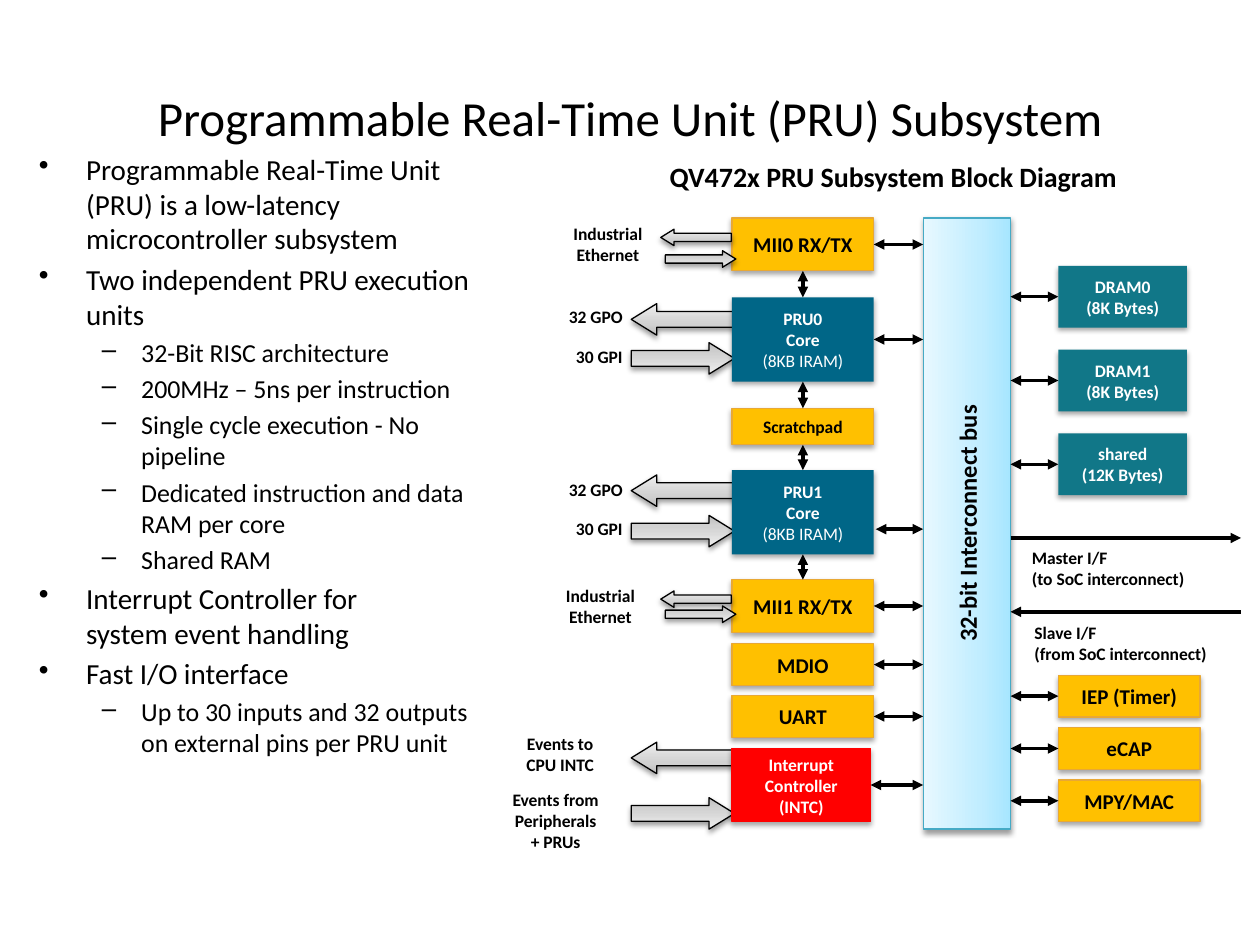
from dataclasses import dataclass
from typing import Optional

from lxml.etree import SubElement
from pptx import Presentation
from pptx.dml.color import RGBColor
from pptx.enum.shapes import MSO_CONNECTOR as Connector, MSO_SHAPE as Shape
from pptx.enum.text import MSO_ANCHOR as Anchor, PP_ALIGN as Align
from pptx.oxml.ns import qn
from pptx.util import Pt

FONT = "Calibri"
BLACK = RGBColor(0x00, 0x00, 0x00)
WHITE = RGBColor(0xFF, 0xFF, 0xFF)
RED = RGBColor(0xFF, 0x00, 0x00)
AMBER = RGBColor(0xFF, 0xC0, 0x00)
AMBER_EDGE = RGBColor(0xE8, 0xA8, 0x35)
NAVY = RGBColor(0x00, 0x66, 0x87)
TEAL = RGBColor(0x11, 0x77, 0x88)
BUS_EDGE = RGBColor(0x46, 0xAA, 0xC5)
GREY_FADE = ((0, "BDBDBD"), (35, "D1D1D1"), (100, "EEEEEE"))
BLUE_FADE = ((0, "A7E6FF"), (35, "C1EDFF"), (100, "E7F8FF"))

CORE_LEFT, CORE_WIDTH = 418.3, 81
RIGHT_LEFT = 604.8
BUS_LEFT, BUS_RIGHT = 527.5, 577.5
LABEL_LEFT, LABEL_WIDTH = 247, 108.7
LEFT, RIGHT = 1, 3  # connection sites
TOP, BOTTOM = 0, 2


@dataclass
class Block:
    text: str
    left: float
    top: float
    width: float
    height: float
    fill: RGBColor
    edge: Optional[RGBColor] = None
    color: RGBColor = WHITE
    size: float = 10
    note: str = ""
    bus_side: Optional[int] = None


@dataclass
class Label:
    text: str
    left: float
    top: float
    width: float
    height: float
    align: Align = Align.CENTER
    size: float = 10


@dataclass
class BlockArrow:
    left: float
    top: float
    width: float
    height: float
    rotation: int = 0


def add_text(paragraph, text: str, size: float, color=BLACK, bold=False) -> None:
    for number, line in enumerate(text.split("\n")):
        if number:
            paragraph.add_line_break()
        run = paragraph.add_run()
        run.text = line
        run.font.name, run.font.size, run.font.bold = FONT, Pt(size), bold
        run.font.color.rgb = color


def add_box(shapes, left: float, top: float, width: float, height: float, inset=True):
    frame = shapes.add_textbox(Pt(left), Pt(top), Pt(width), Pt(height)).text_frame
    frame.word_wrap = True
    if not inset:
        frame.margin_left = frame.margin_right = frame.margin_top = frame.margin_bottom = 0
    return frame


def add_label(shapes, label: Label) -> None:
    frame = add_box(shapes, label.left, label.top, label.width, label.height, inset=False)
    paragraph = frame.paragraphs[0]
    paragraph.alignment = label.align
    add_text(paragraph, label.text, label.size, bold=True)


def add_shadowed(shapes, kind, left: float, top: float, width: float, height: float, alpha=35):
    shape = shapes.add_shape(kind, Pt(left), Pt(top), Pt(width), Pt(height))
    shape.shadow.inherit = False
    effects = shape.element.spPr.find(qn("a:effectLst"))
    shadow = SubElement(effects, qn("a:outerShdw"), blurRad=str(Pt(3.1)),
                        dist=str(Pt(1.7)), dir="5400000", rotWithShape="0")
    color = SubElement(shadow, qn("a:srgbClr"), val="000000")
    SubElement(color, qn("a:alpha"), val=str(alpha * 1000))
    return shape


def set_edge(shape, color: Optional[RGBColor]) -> None:
    if color is None:
        shape.line.fill.background()
    else:
        shape.line.color.rgb = color
        shape.line.width = Pt(0.75)


def set_gradient(shape, stops) -> None:
    shape.fill.gradient()
    shape.fill.gradient_angle = 90
    stop_list = shape.element.spPr.find(qn("a:gradFill")).find(qn("a:gsLst"))
    for old in list(stop_list):
        stop_list.remove(old)
    for position, color in stops:
        stop = SubElement(stop_list, qn("a:gs"), pos=str(position * 1000))
        SubElement(stop, qn("a:srgbClr"), val=color)


def fill_text(shape, text: str, size: float, color: RGBColor, note: str = "") -> None:
    frame = shape.text_frame
    frame.word_wrap = True
    frame.vertical_anchor = Anchor.MIDDLE
    frame.paragraphs[0].alignment = Align.CENTER
    add_text(frame.paragraphs[0], text, size, color, bold=True)
    if note:
        paragraph = frame.add_paragraph()
        paragraph.alignment = Align.CENTER
        add_text(paragraph, note, size, color)


def add_block(shapes, block: Block):
    shape = add_shadowed(shapes, Shape.RECTANGLE, block.left, block.top, block.width, block.height)
    shape.fill.solid()
    shape.fill.fore_color.rgb = block.fill
    set_edge(shape, block.edge)
    fill_text(shape, block.text, block.size, block.color, block.note)
    return shape


def add_block_arrow(shapes, arrow: BlockArrow) -> None:
    shape = add_shadowed(shapes, Shape.LEFT_ARROW, arrow.left, arrow.top,
                         arrow.width, arrow.height, alpha=38)
    shape.adjustments[0], shape.adjustments[1] = 0.5, 0.81
    shape.rotation = arrow.rotation
    set_gradient(shape, GREY_FADE)
    set_edge(shape, BLACK)


def add_arrow(shapes, x1: float, y1: float, x2: float, y2: float, ends=("headEnd", "tailEnd")):
    connector = shapes.add_connector(Connector.STRAIGHT, Pt(x1), Pt(y1), Pt(x2), Pt(y2))
    connector.line.color.rgb = BLACK
    connector.line.width = Pt(2)
    properties = connector.element.spPr
    for end in ends:
        SubElement(properties.find(qn("a:ln")), qn(f"a:{end}"), type="triangle")
    SubElement(properties, qn("a:effectLst"))
    return connector


def add_bullets(frame, items) -> None:
    for number, (level, text) in enumerate(items):
        paragraph = frame.add_paragraph() if number else frame.paragraphs[0]
        size, margin, indent, mark = ((16.6, 27, -27, "•"), (14.8, 58.5, -22.5, "–"))[level]
        paragraph.level = level
        if number:
            paragraph.space_before = Pt(size * 0.2)
        properties = paragraph._p.get_or_add_pPr()
        properties.set("marL", str(Pt(margin)))
        properties.set("indent", str(Pt(indent)))
        SubElement(properties, qn("a:buChar"), char=mark)
        add_text(paragraph, text, size)


def amber(text: str, left: float, top: float, height: float, side: int) -> Block:
    return Block(text, left, top, CORE_WIDTH, height, AMBER, AMBER_EDGE, BLACK, 12, bus_side=side)


BULLETS = [
    (0, "Programmable Real-Time Unit (PRU) is a low-latency microcontroller subsystem"),
    (0, "Two independent PRU execution units"),
    (1, "32-Bit RISC architecture"),
    (1, "200MHz – 5ns per instruction"),
    (1, "Single cycle execution - No pipeline"),
    (1, "Dedicated instruction and data\nRAM per core"),
    (1, "Shared RAM"),
    (0, "Interrupt Controller for\nsystem event handling"),
    (0, "Fast I/O interface"),
    (1, "Up to 30 inputs and 32 outputs\non external pins per PRU unit"),
]
STACK = [  # joined to one another from top to bottom
    amber("MII0 RX/TX", CORE_LEFT, 124.6, 30.2, RIGHT),
    Block("PRU0\nCore", CORE_LEFT, 169.9, CORE_WIDTH, 48.2, NAVY, note="(8KB IRAM)", bus_side=RIGHT),
    Block("Scratchpad", CORE_LEFT, 233.3, CORE_WIDTH, 20.9, AMBER, AMBER_EDGE, BLACK),
    Block("PRU1\nCore", CORE_LEFT, 268.6, CORE_WIDTH, 48.2, NAVY, note="(8KB IRAM)"),
    amber("MII1 RX/TX", CORE_LEFT, 331.2, 30.2, RIGHT),
]
PERIPHERALS = [
    amber("MDIO", CORE_LEFT, 367.9, 23.8, RIGHT),
    amber("UART", CORE_LEFT, 397.5, 23.8, RIGHT),
    Block("Interrupt Controller (INTC)", CORE_LEFT, 427.7, 79.2, 41.8, RED, RED, bus_side=RIGHT),
    *(Block(f"{name}\n({size} Bytes)", RIGHT_LEFT, 151.9 + 47.9 * row, 73.4, 35.3, TEAL, bus_side=LEFT)
      for row, (name, size) in enumerate((("DRAM0", "8K"), ("DRAM1", "8K"), ("shared", "12K")))),
    *(amber(name, RIGHT_LEFT, 385.9 + 29.9 * row, 23.8, LEFT)
      for row, name in enumerate(("IEP (Timer)", "eCAP", "MPY/MAC"))),
]
LABELS = [
    Label("QV472x PRU Subsystem Block Diagram", 329.8, 91.4, 361.4, 19.4, size=16),
    *(Label(text, LABEL_LEFT, top, LABEL_WIDTH, 12.2, Align.RIGHT)
      for text, top in (("32 GPO", 175), ("30 GPI", 198), ("32 GPO", 273.6), ("30 GPI", 296))),
    Label("Industrial Ethernet", 311, 127.4, 72.7, 24.5),
    Label("Industrial Ethernet", 306.7, 334.1, 72.7, 24.5),
    Label("Events to\nCPU INTC", 283.7, 419, 72.7, 24.5),
    Label("Events from Peripherals\n+ PRUs", 274.3, 450.7, 86.4, 36),
    Label("Master I/F\n(to SoC interconnect)", 589.7, 312.5, 105.8, 24.5, Align.LEFT),
    Label("Slave I/F\n(from SoC interconnect)", 591.1, 355.7, 118, 24.5, Align.LEFT),
]
WIDE_ARROWS = [BlockArrow(360.7, top, 59, 18, rotation)
               for pair in ((173.5, 195.8), (271.4, 294.5), (424.1, 455.8))
               for top, rotation in zip(pair, (0, 180))]
THIN_ARROWS = [BlockArrow(left, top, 40.3, 9.4, rotation)
               for pair in ((131, 143.3), (337.7, 346.3))
               for left, top, rotation in zip((377.6, 380.2), pair, (0, 180))]


def main() -> None:
    presentation = Presentation()
    presentation.slide_width, presentation.slide_height = Pt(720), Pt(540)
    shapes = presentation.slides.add_slide(presentation.slide_layouts[6]).shapes

    # Title and bullets
    title = add_box(shapes, 36, 21.6, 648, 90)
    title.vertical_anchor = Anchor.MIDDLE
    title.paragraphs[0].alignment = Align.CENTER
    add_text(title.paragraphs[0], "Programmable Real-Time Unit (PRU) Subsystem", 28)
    add_bullets(add_box(shapes, 15.1, 82.8, 275, 389.5), BULLETS)

    # Blocks and the bus
    for arrow in WIDE_ARROWS:
        add_block_arrow(shapes, arrow)
    blocks = STACK + PERIPHERALS
    drawn = [add_block(shapes, block) for block in blocks]
    bus = add_shadowed(shapes, Shape.RECTANGLE, 378, 274.3, 349.2, 49.7, alpha=38)
    bus.rotation = 270
    set_gradient(bus, BLUE_FADE)
    set_edge(bus, BUS_EDGE)
    fill_text(bus, "32-bit Interconnect bus", 14, BLACK)

    # Arrows between blocks and bus
    for block, shape in zip(blocks, drawn):
        if block.bus_side is not None:
            middle = block.top + block.height / 2
            start, end = ((block.left + block.width, BUS_LEFT) if block.bus_side == RIGHT
                          else (block.left, BUS_RIGHT))
            add_arrow(shapes, start, middle, end, middle).begin_connect(shape, block.bus_side)
    add_arrow(shapes, 500.4, 302.4, BUS_LEFT, 302.4)
    stack = drawn[:len(STACK)]
    for upper, lower in zip(stack, stack[1:]):
        connector = add_arrow(shapes, 0, 0, 0, 0)
        connector.begin_connect(lower, TOP)
        connector.end_connect(upper, BOTTOM)
    add_arrow(shapes, BUS_RIGHT, 307.4, 709.2, 307.4, ends=("tailEnd",))
    add_arrow(shapes, BUS_RIGHT, 349.6, 709.2, 349.6, ends=("headEnd",))

    # Outside signals
    for arrow in THIN_ARROWS:
        add_block_arrow(shapes, arrow)
    for label in LABELS:
        add_label(shapes, label)

    presentation.save("out.pptx")


if __name__ == "__main__":
    main()
